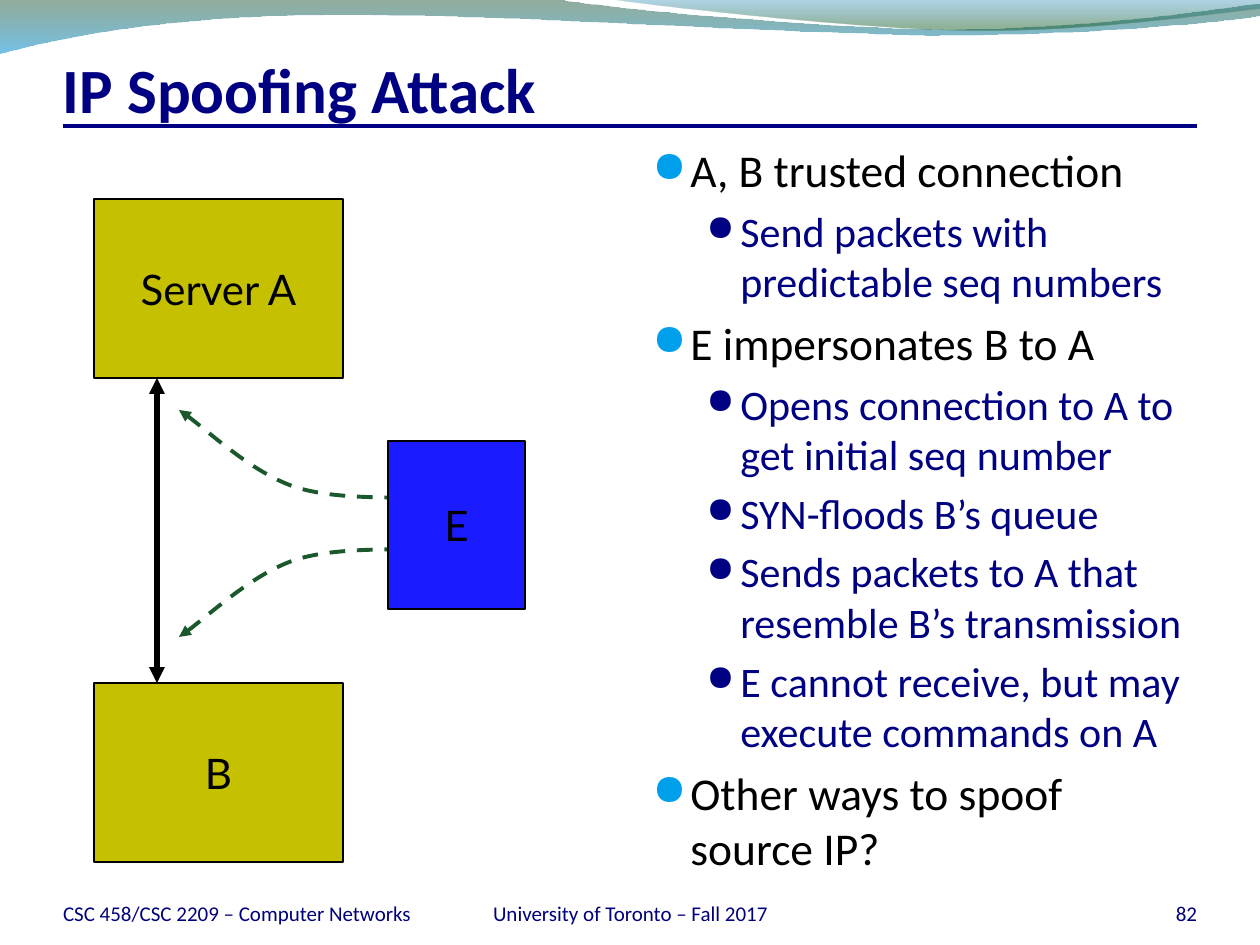
from dataclasses import dataclass

from lxml import etree
from pptx import Presentation
from pptx.dml.color import RGBColor
from pptx.enum.dml import MSO_LINE
from pptx.enum.shapes import MSO_CONNECTOR, MSO_SHAPE
from pptx.enum.text import MSO_ANCHOR, PP_ALIGN
from pptx.oxml.ns import qn
from pptx.util import Emu, Pt

LEFT, CENTER, RIGHT = PP_ALIGN.LEFT, PP_ALIGN.CENTER, PP_ALIGN.RIGHT
TOP, MIDDLE, BOTTOM = MSO_ANCHOR.TOP, MSO_ANCHOR.MIDDLE, MSO_ANCHOR.BOTTOM
RECTANGLE, STRAIGHT, DASH = MSO_SHAPE.RECTANGLE, MSO_CONNECTOR.STRAIGHT, MSO_LINE.DASH
SCALE = 914400 / 126
NAVY, BLACK, GREEN, OLIVE = "000082", "000000", "1B582B", "C5C000"


@dataclass
class Wave:
    points: list[tuple[int, int]]
    kinds: str
    stops: list[tuple[float, str, int]]


@dataclass
class Label:
    text: str
    box: tuple[int, int, int, int]
    size: int
    color: str
    align: PP_ALIGN = LEFT
    bold: bool = False
    top_inset: int = 0


@dataclass
class Host:
    name: str
    box: tuple[int, int, int, int]
    fill: str


@dataclass
class Level:
    size: int
    color: str
    bullet_color: str
    bullet_percent: int
    margin: int
    hanging: int


WAVES = [
    Wave([(-1, -1), (554, -1), (600, 8), (837, 29), (955, 29), (1075, 29), (1207, 11),
          (1260, 4), (1261, 16), (1239, 20), (1096, 35), (940, 35), (784, 34), (481, 13),
          (324, 15), (163, 16), (58, 38), (-1, 53)],
         "LCCLCCC", [(0, "0F461E", 45), (1, "0090D6", 55)]),
    Wave([(604, -1), (641, 5), (859, 29), (969, 30), (1079, 32), (1211, 14), (1260, 9),
          (1260, -1)],
         "CCL", [(0, "0076AF", 30), (0.8, "0D5821", 45)]),
]
LABELS = [
    Label("IP Spoofing Attack", (63, 42, 1134, 84), 36, NAVY, bold=True, top_inset=6),
    Label("CSC 458/CSC 2209 – Computer Networks", (63, 876, 357, 50), 12, "00007C"),
    Label("University of Toronto – Fall 2017", (431, 876, 399, 50), 12, "00007C", CENTER),
    Label("82", (1092, 876, 105, 50), 12, "00007C", RIGHT),
]
HOSTS = [
    Host("Server A", (94, 199, 249, 179), OLIVE),
    Host("B", (94, 683, 249, 179), OLIVE),
    Host("E", (388, 441, 137, 168), "1B1BFF"),
]
LEVELS = [Level(26, BLACK, "009FEC", 95, 38, 38), Level(24, NAVY, NAVY, 85, 88, 34)]
POINTS = [
    (0, "A, B trusted connection"),
    (1, "Send packets with predictable seq numbers"),
    (0, "E impersonates B to A"),
    (1, "Opens connection to A to get initial seq number"),
    (1, "SYN-floods B’s queue"),
    (1, "Sends packets to A that resemble B’s transmission"),
    (1, "E cannot receive, but may execute commands on A"),
    (0, "Other ways to spoof source IP?"),
]
SPOOF_PATH = [(179, 410), (198, 422), (251, 471), (292, 486), (334, 501), (399, 496), (427, 499)]
MIRROR_SUM = 1047


def px(length: int) -> Emu:
    return Emu(round(length * SCALE))


def rgb(value: str) -> RGBColor:
    return RGBColor.from_string(value)


def add_child(parent, tag: str, **attributes: str):
    return etree.SubElement(parent, qn(tag), attributes)


def style_text(para, font: str, size: int, color: str, bold: bool = False) -> None:
    for span in para.runs:
        span.font.name = font
        span.font.size = Pt(size)
        span.font.color.rgb = rgb(color)
        span.font.bold = bold


def style_line(item, color: str, width: float, arrows: tuple[str, ...] = (), dash=None) -> None:
    item.line.color.rgb = rgb(color)
    item.line.width = Pt(width)
    if dash is not None:
        item.line.dash_style = dash
    outline = item.element.spPr.find(qn("a:ln"))
    for end in arrows:
        add_child(outline, end, type="triangle")


def add_curve(page, points: list[tuple[int, int]], kinds: str, closed: bool):
    builder = page.shapes.build_freeform(*points[0], scale=SCALE)
    builder.add_line_segments(points[1:], close=closed)
    shape = builder.convert_to_shape()
    shape.shadow.inherit = False
    segments = iter(list(shape.element.iter(qn("a:lnTo"))))
    for kind in kinds:
        segment = next(segments)
        if kind == "C":
            curve = etree.Element(qn("a:cubicBezTo"))
            segment.addprevious(curve)
            for part in (segment, next(segments), next(segments)):
                curve.append(part[0])
                part.getparent().remove(part)
    return shape


def add_wave(page, wave: Wave) -> None:
    shape = add_curve(page, wave.points, wave.kinds, True)
    shape.line.fill.background()
    shape.fill.gradient()
    shape.fill.gradient_angle = 270
    for stop, (position, color, _) in zip(shape.fill.gradient_stops, wave.stops):
        stop.position = position
        stop.color.rgb = rgb(color)
    for color, (_, _, opacity) in zip(shape.element.iter(qn("a:srgbClr")), wave.stops):
        add_child(color, "a:alpha", val=str(opacity * 1000))


def add_line(page, start: tuple[int, int], end: tuple[int, int], color: str, width: float,
             arrows: tuple[str, ...] = ()) -> None:
    line = page.shapes.add_connector(STRAIGHT, *map(px, start + end))
    style_line(line, color, width, arrows)
    add_child(line.element.spPr, "a:effectLst")


def add_label(page, label: Label) -> None:
    frame = page.shapes.add_textbox(*map(px, label.box)).text_frame
    frame.word_wrap = True
    frame.vertical_anchor = BOTTOM
    frame.margin_left = frame.margin_right = frame.margin_bottom = 0
    frame.margin_top = px(label.top_inset)
    frame.text = label.text
    para = frame.paragraphs[0]
    para.alignment = label.align
    style_text(para, "Calibri", label.size, label.color, label.bold)


def add_host(page, host: Host) -> None:
    shape = page.shapes.add_shape(RECTANGLE, *map(px, host.box))
    shape.shadow.inherit = False
    shape.fill.solid()
    shape.fill.fore_color.rgb = rgb(host.fill)
    style_line(shape, BLACK, 0.75)
    frame = shape.text_frame
    frame.word_wrap = False
    frame.vertical_anchor = MIDDLE
    frame.text = host.name
    frame.paragraphs[0].alignment = CENTER
    style_text(frame.paragraphs[0], "Lato", 24, BLACK)


def add_points(page, box: tuple[int, int, int, int]) -> None:
    frame = page.shapes.add_textbox(*map(px, box)).text_frame
    frame.word_wrap = True
    frame.vertical_anchor = TOP
    frame.text = "\n".join(text for _, text in POINTS)
    for para, (depth, _) in zip(frame.paragraphs, POINTS):
        level = LEVELS[depth]
        para.level = depth
        para.space_before = Pt(level.size * 0.2)
        style_text(para, "Calibri", level.size, level.color)
        settings = para._p.get_or_add_pPr()
        settings.set("marL", str(px(level.margin)))
        settings.set("indent", str(-px(level.hanging)))
        add_child(add_child(settings, "a:buClr"), "a:srgbClr", val=level.bullet_color)
        add_child(settings, "a:buSzPct", val=str(level.bullet_percent * 1000))
        add_child(settings, "a:buChar", char="●")


deck = Presentation()
deck.slide_width, deck.slide_height = px(1260), px(945)
page = deck.slides.add_slide(deck.slide_layouts[6])
for wave in WAVES:
    add_wave(page, wave)
add_line(page, (63, 126), (1197, 126), NAVY, 2.25)
add_points(page, (640, 136, 557, 740))
for label in LABELS:
    add_label(page, label)
add_line(page, (157, 378), (157, 683), BLACK, 3, ("a:headEnd", "a:tailEnd"))
for route in (SPOOF_PATH, [(x, MIRROR_SUM - y) for x, y in SPOOF_PATH]):
    arrow = add_curve(page, route, "CC", False)
    arrow.fill.background()
    style_line(arrow, GREEN, 2.25, ("a:headEnd",), DASH)
for host in HOSTS:
    add_host(page, host)
deck.save("out.pptx")
